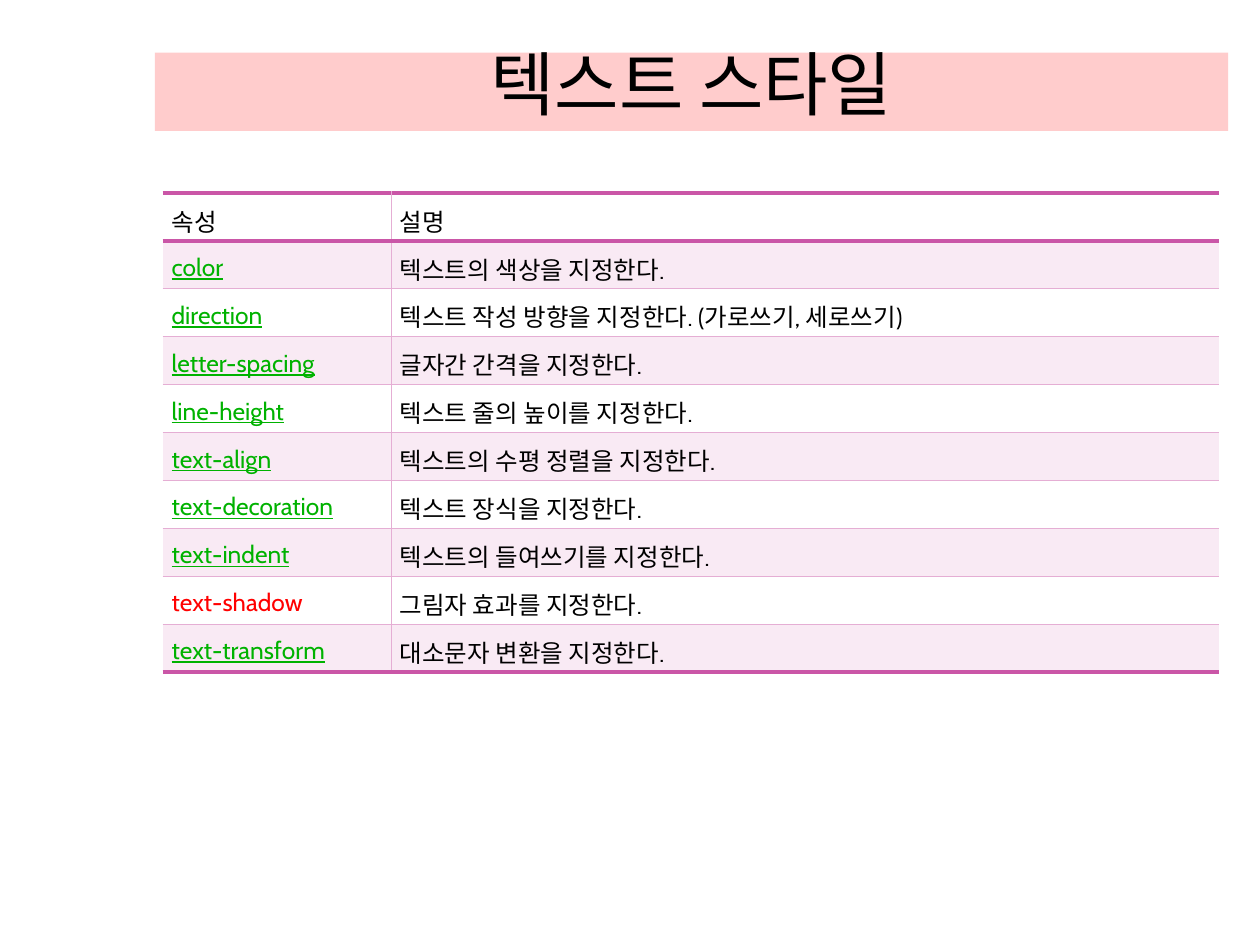
from lxml import etree
from pptx import Presentation, util as u
from pptx.dml.color import RGBColor
from pptx.enum import text
from pptx.oxml import ns

INK, GREEN, RED = "000000", "00B200", "FF0000"
WHITE, BAND, TITLE_BAND = "FFFFFF", "F9EAF4", "FFCCCC"
THIN, THICK = ("E5AED4", 0.28), ("CA56A7", 2.55)

PROPERTIES = [
    ("color", "텍스트의 색상을 지정한다."),
    ("direction", "텍스트 작성 방향을 지정한다. (가로쓰기, 세로쓰기)"),
    ("letter-spacing", "글자간 간격을 지정한다."),
    ("line-height", "텍스트 줄의 높이를 지정한다."),
    ("text-align", "텍스트의 수평 정렬을 지정한다."),
    ("text-decoration", "텍스트 장식을 지정한다."),
    ("text-indent", "텍스트의 들여쓰기를 지정한다."),
    ("text-shadow", "그림자 효과를 지정한다."),
    ("text-transform", "대소문자 변환을 지정한다."),
]


def rgb(hex_string):
    return RGBColor.from_string(hex_string)


class StyledSlide:
    title_font, body_font = "Cambria", "Cabin"
    title_size, body_size = u.Pt(40), u.Pt(14)

    def __init__(self, deck):
        self.slide = deck.slides.add_slide(deck.slide_layouts[5])

    def format_run(self, paragraph, font, size, color, underline=False):
        run_font = paragraph.runs[0].font
        run_font.name, run_font.size = font, size
        run_font.color.rgb = rgb(color)
        run_font.underline = underline

    def title(self, words, left, top, width, height):
        heading = self.slide.shapes.title
        heading.left, heading.top = u.Cm(left), u.Cm(top)
        heading.width, heading.height = u.Cm(width), u.Cm(height)
        heading.fill.solid()
        heading.fill.fore_color.rgb = rgb(TITLE_BAND)
        frame = heading.text_frame
        frame.text = words
        frame.auto_size = text.MSO_AUTO_SIZE.NONE
        frame.vertical_anchor = text.MSO_ANCHOR.BOTTOM
        frame.paragraphs[0].alignment = text.PP_ALIGN.CENTER
        self.format_run(frame.paragraphs[0], self.title_font,
                        self.title_size, INK)

    def border(self, cell, side, line):
        properties = cell._tc.get_or_add_tcPr()
        edge = etree.SubElement(properties, ns.qn(f"a:ln{side}"))
        if line is None:
            edge.set("w", "0")
            etree.SubElement(edge, ns.qn("a:noFill"))
            return
        color, points = line
        edge.set("w", str(int(u.Pt(points))))
        fill = etree.SubElement(edge, ns.qn("a:solidFill"))
        etree.SubElement(fill, ns.qn("a:srgbClr"), val=color)

    def cell(self, cell, words, color, fill, borders, align, underline):
        cell.margin_left = cell.margin_right = u.Cm(0.18)
        cell.margin_top = cell.margin_bottom = u.Cm(0.05)
        cell.vertical_anchor = text.MSO_ANCHOR.MIDDLE
        for side, line in borders.items():
            self.border(cell, side, line)
        cell.fill.solid()
        cell.fill.fore_color.rgb = rgb(fill)
        cell.text_frame.text = words
        paragraph = cell.text_frame.paragraphs[0]
        paragraph.alignment = align
        paragraph.line_spacing = 1.2
        self.format_run(paragraph, self.body_font, self.body_size,
                        color, underline)

    def table(self, rows, left, top, column_widths, row_height):
        last = len(rows) - 1
        grid = self.slide.shapes.add_table(
            len(rows), len(column_widths), u.Cm(left), u.Cm(top),
            u.Cm(sum(column_widths)), u.Cm(row_height * len(rows))).table
        grid.first_row = grid.horz_banding = False
        for column, width in zip(grid.columns, column_widths):
            column.width = u.Cm(width)
        for r, row in enumerate(rows):
            for c, words in enumerate(row):
                is_name = r > 0 and c == 0
                color = INK
                if is_name:
                    color = RED if words == "text-shadow" else GREEN
                borders = {
                    "L": THIN if c else None,
                    "R": None if c else THIN,
                    "T": THICK if r in (0, 1) else THIN,
                    "B": THICK if r in (0, last) else THIN,
                }
                self.cell(grid.cell(r, c), words, color,
                          BAND if r % 2 else WHITE, borders,
                          text.PP_ALIGN.JUSTIFY if r else text.PP_ALIGN.LEFT,
                          underline=color == GREEN)


def main():
    deck = Presentation()
    deck.slide_width, deck.slide_height = u.Cm(25.4), u.Cm(19.05)
    page = StyledSlide(deck)

    # Title band
    page.title("텍스트 스타일", 3.12, 1.06, 21.64, 1.58)

    # Property table
    page.table([("속성", "설명")] + PROPERTIES, 3.28, 3.89, (4.6, 16.69), 0.86)

    deck.save("out.pptx")


if __name__ == "__main__":
    main()
